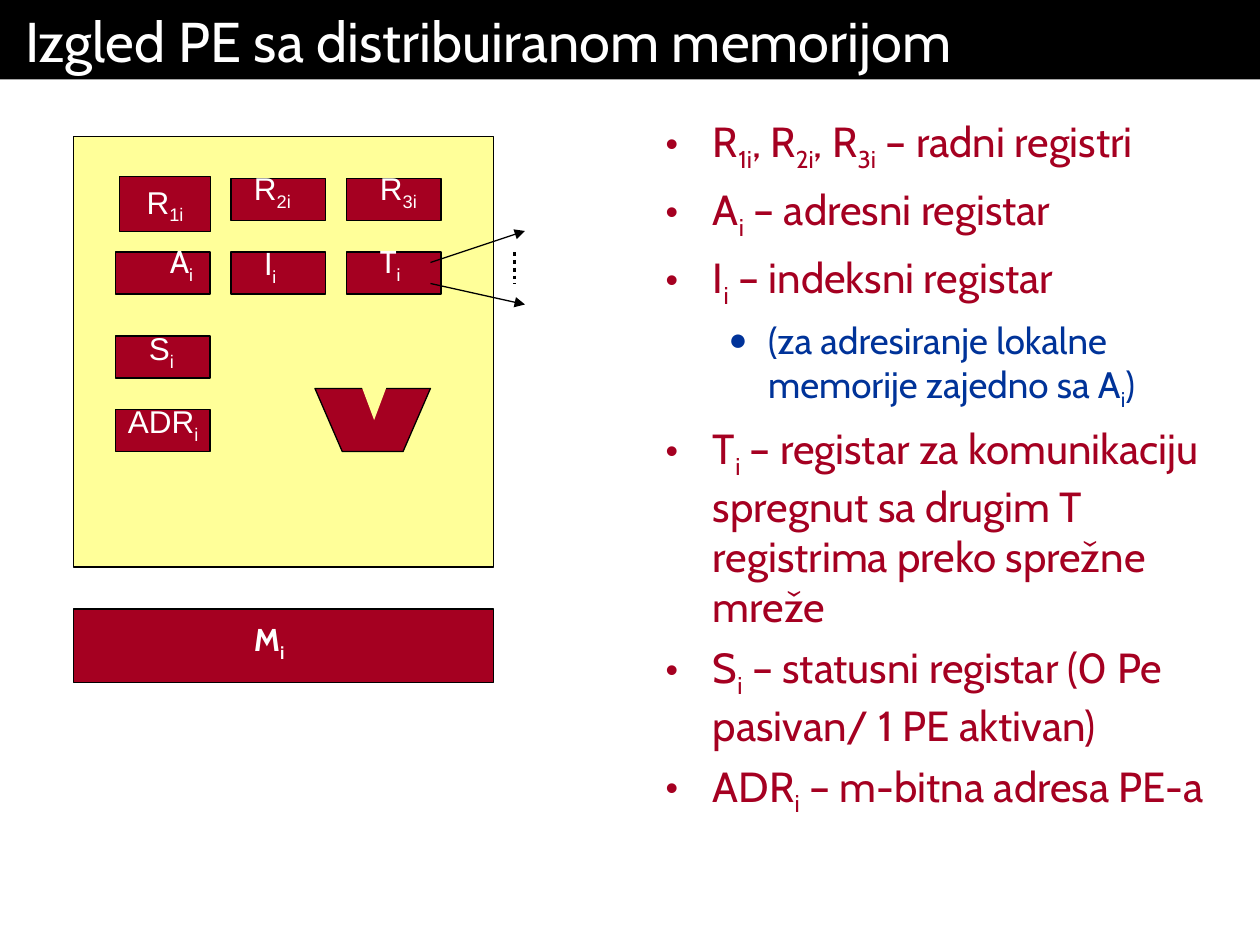
"""Build the slide on a processing element with distributed memory."""
from itertools import product

from lxml.etree import SubElement
from pptx import Presentation
from pptx.dml.color import RGBColor
from pptx.enum.dml import MSO_LINE
from pptx.enum.shapes import MSO_CONNECTOR, MSO_SHAPE
from pptx.enum.text import MSO_ANCHOR, PP_ALIGN
from pptx.oxml.ns import qn
from pptx.util import Pt

COLORS = {
    "black": "000000",
    "white": "FFFFFF",
    "red": "A50021",
    "blue": "003399",
    "yellow": "FFFF99",
}


def color(name):
    """Return the named colour."""
    return RGBColor.from_string(COLORS[name])


def write(paragraph, text, *, size=18, font="Cabin", ink="white", bold=False):
    """Add text to a paragraph, with parts between tildes as subscripts."""
    for index, part in enumerate(text.split("~")):
        if not part:
            continue
        run = paragraph.add_run()
        run.text = part
        run.font.size = Pt(size)
        run.font.name = font
        run.font.bold = bold
        run.font.color.rgb = color(ink)
        if index % 2:
            run.font._element.set("baseline", "-25000")


class SlideBuilder:
    """Hold the drawing style and the current slide."""

    line_width = 0.75
    margins = (14.4, 3.6)
    label_margins = (7.2, 3.6)

    def __init__(self, slide):
        """Keep the slide to draw on."""
        self.shapes = slide.shapes

    def paint(self, shape, fill, outlined=True):
        """Give a shape its fill and outline."""
        shape.shadow.inherit = False
        shape.fill.solid()
        shape.fill.fore_color.rgb = color(fill)
        if outlined:
            shape.line.color.rgb = color("black")
            shape.line.width = Pt(self.line_width)
        else:
            shape.line.fill.background()
        return shape

    def block(self, box, fill, outlined=True, kind=MSO_SHAPE.RECTANGLE):
        """Add a filled preset shape."""
        shape = self.shapes.add_shape(kind, *map(Pt, box))
        return self.paint(shape, fill, outlined)

    def outline(self, corners, fill):
        """Add a closed polygon."""
        start, *rest = [tuple(map(Pt, corner)) for corner in corners]
        builder = self.shapes.build_freeform(*start, scale=1.0)
        builder.add_line_segments(rest, close=True)
        return self.paint(builder.convert_to_shape(), fill)

    def frame(self, shape, margins, anchor=MSO_ANCHOR.TOP, wrap=True):
        """Set up the text frame of a shape."""
        text_frame = shape.text_frame
        text_frame.margin_left = text_frame.margin_right = Pt(margins[0])
        text_frame.margin_top = text_frame.margin_bottom = Pt(margins[1])
        text_frame.vertical_anchor = anchor
        text_frame.word_wrap = wrap
        return text_frame

    def title(self, box, text):
        """Add the title bar."""
        bar = self.block(box, "black", outlined=False)
        paragraph = self.frame(bar, self.margins).paragraphs[0]
        paragraph.alignment = PP_ALIGN.LEFT
        write(paragraph, text, size=32)

    def label(self, box, text, **style):
        """Add a label that sits on the bottom of its box."""
        textbox = self.shapes.add_textbox(*map(Pt, box))
        text_frame = self.frame(textbox, self.label_margins, MSO_ANCHOR.BOTTOM, wrap=False)
        write(text_frame.paragraphs[0], text, **style)

    def bullets(self, box, items):
        """Add a list of (level, text) bullets."""
        levels = (
            {"size": 24, "ink": "red", "sign": "•", "left": 27, "hang": 27, "gap": 6},
            {"size": 21, "ink": "blue", "sign": "●", "left": 58.5, "hang": 22.5, "gap": 5.2},
        )
        textbox = self.shapes.add_textbox(*map(Pt, box))
        text_frame = self.frame(textbox, (14.4, 10.8))
        for index, (level, text) in enumerate(items):
            paragraph = text_frame.add_paragraph() if index else text_frame.paragraphs[0]
            look = levels[level]
            paragraph.level = level
            paragraph.space_before = Pt(look["gap"] if index else 0)
            properties = paragraph._p.get_or_add_pPr()
            properties.set("marL", str(Pt(look["left"])))
            properties.set("indent", str(-Pt(look["hang"])))
            bullet_color = SubElement(properties, qn("a:buClr"))
            SubElement(bullet_color, qn("a:srgbClr"), val=COLORS[look["ink"]])
            SubElement(properties, qn("a:buSzPct"), val="85000")
            SubElement(properties, qn("a:buFont"), typeface="Arial")
            SubElement(properties, qn("a:buChar"), char=look["sign"])
            write(paragraph, text, size=look["size"], ink=look["ink"])

    def line(self, start, end, width=line_width, dash=None, arrow=False):
        """Add a straight line, dotted or with an arrowhead if asked."""
        connector = self.shapes.add_connector(MSO_CONNECTOR.STRAIGHT, *map(Pt, start + end))
        connector.line.color.rgb = color("black")
        connector.line.width = Pt(width)
        if dash:
            connector.line.dash_style = dash
        if arrow:
            SubElement(connector.line._get_or_add_ln(), qn("a:tailEnd"), type="triangle")
        SubElement(connector._element.spPr, qn("a:effectLst"))


def main():
    """Draw the slide and save it."""
    presentation = Presentation()
    presentation.slide_width, presentation.slide_height = Pt(720), Pt(540)
    page = SlideBuilder(presentation.slides.add_slide(presentation.slide_layouts[6]))

    page.title((0, 0, 720, 45.4), "Izgled PE sa distribuiranom memorijom")
    page.bullets((366, 55.4, 354, 484.6), [
        (0, "R~1i~, R~2i~, R~3i~ – radni registri"),
        (0, "A~i~ – adresni registar"),
        (0, "I~i~ – indeksni registar"),
        (1, "(za adresiranje lokalne memorije zajedno sa A~i~)"),
        (0, "T~i~ – registar za komunikaciju spregnut sa drugim T registrima "
            "preko sprežne mreže"),
        (0, "S~i~ – statusni registar (0 Pe pasivan/ 1 PE aktivan)"),
        (0, "ADR~i~ – m-bitna adresa PE-a"),
    ])

    page.block((42, 78, 240, 246), "yellow")
    first_register = page.block((68.4, 100.8, 51.8, 31.7), "red")
    register_text = page.frame(first_register, page.label_margins, MSO_ANCHOR.MIDDLE)
    register_text.paragraphs[0].alignment = PP_ALIGN.CENTER
    write(register_text.paragraphs[0], "R~1i~", font="Arial")

    columns, rows = (66, 132, 198), (102, 144)
    registers = list(product(columns, rows))[1:] + [(66, 192), (66, 234)]
    for left, top in registers:
        page.block((left, top, 54, 24), "red")

    page.outline([(180, 222), (246, 222), (230.4, 258), (195.6, 258)], "red")
    notch = page.block((204, 216, 18, 24), "yellow", outlined=False,
                       kind=MSO_SHAPE.ISOSCELES_TRIANGLE)
    notch.adjustments[0] = 0.42
    notch.rotation = 183.1

    page.block((42, 348, 240, 42), "red")
    for text, left, top, width, style in (
        ("R~2i~", 138, 93, 36.7, {"font": "Arial"}),
        ("R~3i~", 210, 93, 36.7, {"font": "Arial"}),
        ("A~i~", 90, 134.6, 28, {}),
        ("I~i~", 144, 136, 23.8, {}),
        ("T~i~", 210, 134.6, 26.6, {}),
        ("S~i~", 78, 184.3, 28.8, {"font": "Arial"}),
        ("ADR~i~", 66, 226, 54.7, {"font": "Arial"}),
        ("M~i~", 138, 350.6, 34.6, {"bold": True}),
    ):
        page.label((left, top, width, 31.7), text, **style)

    page.line((246, 150), (300, 132), arrow=True)
    page.line((246, 162), (300, 174), arrow=True)
    page.line((294, 144), (294, 162), width=2.25, dash=MSO_LINE.ROUND_DOT)

    presentation.save("out.pptx")


if __name__ == "__main__":
    main()
